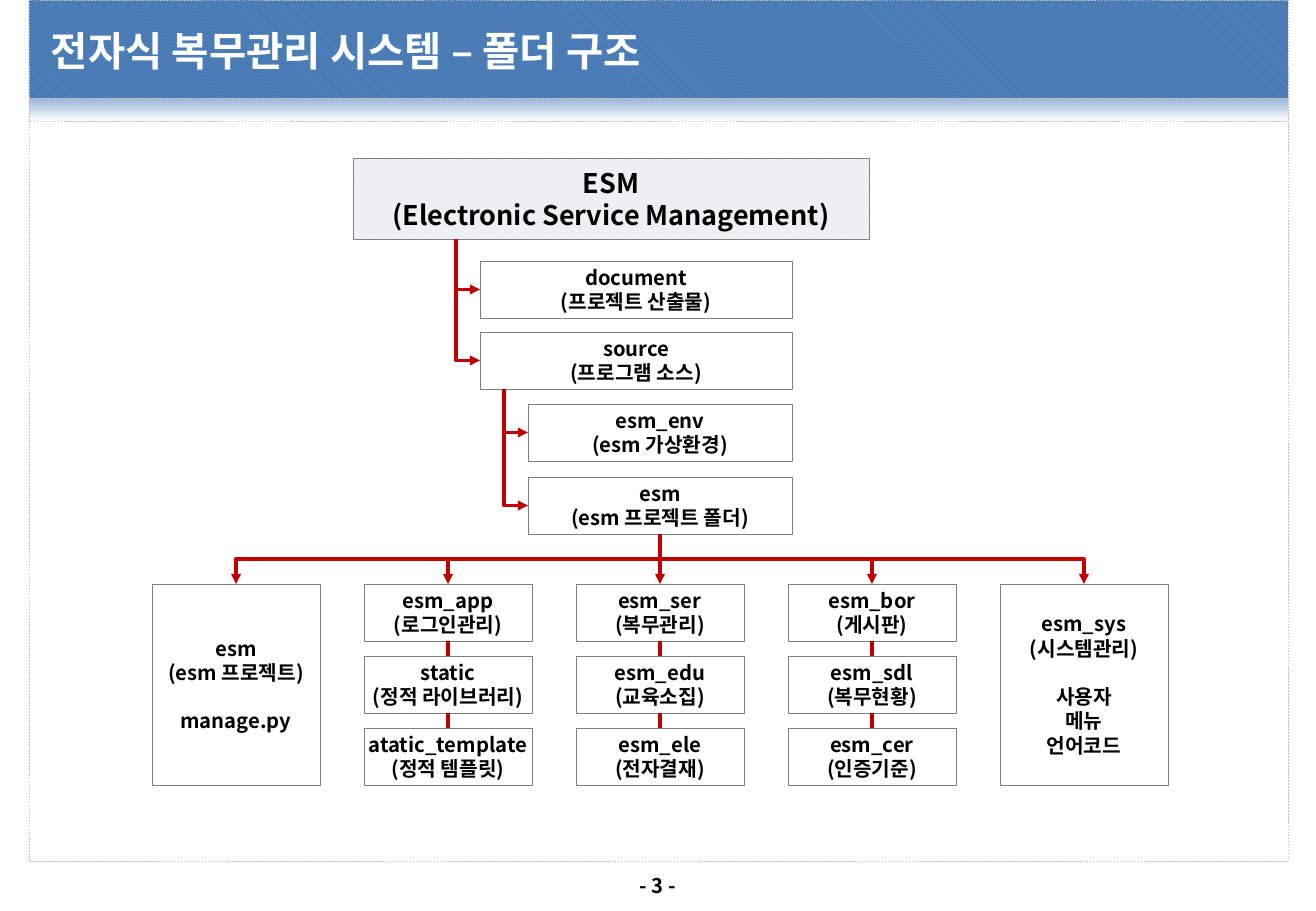
from lxml.etree import SubElement
from pptx import Presentation
from pptx.dml.color import RGBColor
from pptx.enum.dml import MSO_LINE, MSO_PATTERN
from pptx.enum.shapes import MSO_CONNECTOR, MSO_SHAPE
from pptx.enum.text import MSO_ANCHOR, PP_ALIGN
from pptx.oxml.ns import qn
from pptx.util import Pt

PX = 7526
FONT = "Noto Sans CJK KR"
WHITE = RGBColor(0xFF, 0xFF, 0xFF)
BLACK = RGBColor(0x00, 0x00, 0x00)
RED = RGBColor(0xC0, 0x00, 0x00)
BOX_EDGE = RGBColor(0x80, 0x80, 0x80)
FRAME_EDGE = RGBColor(0xBF, 0xBF, 0xBF)
BLUE = RGBColor(0x4F, 0x81, 0xBD)
DARK_BLUE = RGBColor(0x37, 0x60, 0x92)
SOFT_BLUE = RGBColor(0x95, 0xB3, 0xD7)
PALE_BLUE = RGBColor(0xDC, 0xE6, 0xF2)
PALE_GREY = RGBColor(0xF2, 0xF2, 0xF2)

ROW_HEIGHT = 57
ROW_STEP = 72
INDENT = 24
COLUMN_LEFT, COLUMN_TOP = 152, 584
COLUMN_STEP, COLUMN_WIDTH = 212, 168
COLUMN_HEIGHT = 2 * ROW_STEP + ROW_HEIGHT

COLUMNS = [
    [[["esm", "(esm 프로젝트)"], ["manage.py"]]],
    [[["esm_app", "(로그인관리)"]], [["static", "(정적 라이브러리)"]],
     [["atatic_template", "(정적 템플릿)"]]],
    [[["esm_ser", "(복무관리)"]], [["esm_edu", "(교육소집)"]],
     [["esm_ele", "(전자결재)"]]],
    [[["esm_bor", "(게시판)"]], [["esm_sdl", "(복무현황)"]],
     [["esm_cer", "(인증기준)"]]],
    [[["esm_sys", "(시스템관리)"], ["사용자", "메뉴", "언어코드"]]],
]


def emu(*lengths):
    return [round(length * PX) for length in lengths]


def write(shape, blocks, size=12, color=BLACK, align=PP_ALIGN.CENTER):
    frame = shape.text_frame
    frame.word_wrap = False
    frame.vertical_anchor = MSO_ANCHOR.MIDDLE
    frame.margin_left = frame.margin_right = 5 * PX
    frame.margin_top = frame.margin_bottom = 5 * PX
    frame.text = "\n".join(line for block in blocks for line in block)
    for para in frame.paragraphs:
        para.alignment = align
        font = para.font
        font.name, font.size, font.bold = FONT, Pt(size), True
        font.color.rgb = color
        properties = para._p.pPr.find(qn("a:defRPr"))
        SubElement(properties, qn("a:ea")).set("typeface", FONT)
    first = 0
    for block in blocks[:-1]:
        first += len(block)
        frame.paragraphs[first].space_before = Pt(14.3)


def add_rectangle(page, left, top, width, height, edge=BOX_EDGE):
    shape = page.shapes.add_shape(MSO_SHAPE.RECTANGLE, *emu(left, top, width, height))
    shape.shadow.inherit = False
    shape.fill.solid()
    shape.fill.fore_color.rgb = WHITE
    shape.line.color.rgb = edge
    shape.line.width = Pt(0.25)
    return shape


def add_box(page, left, top, width, height, blocks, size=12):
    box = add_rectangle(page, left, top, width, height)
    write(box, blocks, size)
    return box


def add_band(page, top, height):
    band = add_rectangle(page, 29, top, 1259, height, FRAME_EDGE)
    band.line.dash_style = MSO_LINE.DASH
    return band


def hatch(shape, front, back):
    shape.fill.patterned()
    shape.fill.pattern = MSO_PATTERN.LIGHT_DOWNWARD_DIAGONAL
    shape.fill.fore_color.rgb = front
    shape.fill.back_color.rgb = back


def add_text(page, left, top, width, height, line, **style):
    box = page.shapes.add_textbox(*emu(left, top, width, height))
    write(box, [[line]], **style)


def add_line(page, kind, start, end, arrow=False):
    line = page.shapes.add_connector(kind, *emu(*start, *end))
    line.line.color.rgb = RED
    line.line.width = Pt(2)
    if arrow:
        SubElement(line.line._get_or_add_ln(), qn("a:tailEnd")).set("type", "triangle")
    SubElement(line._element.spPr, qn("a:effectLst"))
    return line


def join(page, upper, lower, arrow=False):
    line = add_line(page, MSO_CONNECTOR.STRAIGHT, (0, 0), (1, 1), arrow)
    line.begin_connect(upper, 2)
    line.end_connect(lower, 0)


def add_elbow(page, start, end, preset):
    middle_x, middle_y = (start[0] + end[0]) / 2, (start[1] + end[1]) / 2
    half_width, half_height = abs(end[1] - start[1]) / 2, abs(end[0] - start[0]) / 2
    elbow = add_line(page, MSO_CONNECTOR.ELBOW,
                     (middle_x - half_width, middle_y - half_height),
                     (middle_x + half_width, middle_y + half_height), True)
    properties = elbow._element.spPr
    properties.find(qn("a:prstGeom")).set("prst", preset)
    frame = properties.find(qn("a:xfrm"))
    if end[0] > start[0]:
        frame.set("rot", "16200000")
        frame.set("flipH", "1")
    else:
        frame.set("rot", "5400000")


def add_frame(page):
    glow = add_band(page, 98, 23)
    glow.fill.gradient()
    glow.fill.gradient_angle = 270
    for stop, color in zip(glow.fill.gradient_stops, (SOFT_BLUE, WHITE)):
        stop.color.rgb = color
    add_band(page, 121, 740)
    hatch(add_band(page, 0, 98), DARK_BLUE, BLUE)
    add_text(page, 46, 10, 1226, 80, "전자식 복무관리 시스템 – 폴더 구조",
             size=24, color=WHITE, align=PP_ALIGN.LEFT)
    add_text(page, 617, 867, 82, 37, "- 3 -")


def add_branches(page, left, start, children):
    boxes = []
    for top, lines in children:
        boxes.append(add_box(page, left, top, 792 - left, ROW_HEIGHT, [lines]))
        add_elbow(page, (left - INDENT, start), (left, top + ROW_HEIGHT / 2),
                  "bentConnector2")
    return boxes


def add_columns(page, parent):
    for index, cells in enumerate(COLUMNS):
        left = COLUMN_LEFT + index * COLUMN_STEP
        height = COLUMN_HEIGHT if len(cells) == 1 else ROW_HEIGHT
        boxes = [add_box(page, left, COLUMN_TOP + row * ROW_STEP, COLUMN_WIDTH, height, blocks)
                 for row, blocks in enumerate(cells)]
        for upper, lower in zip(boxes, boxes[1:]):
            join(page, upper, lower)
        if index == len(COLUMNS) // 2:
            join(page, parent, boxes[0], True)
        else:
            add_elbow(page, (660, 534), (left + COLUMN_WIDTH / 2, COLUMN_TOP),
                      "bentConnector3")


def main():
    deck = Presentation()
    deck.slide_width, deck.slide_height = emu(1316, 911)
    page = deck.slides.add_slide(deck.slide_layouts[6])
    add_frame(page)
    root = add_box(page, 353, 158, 516, 81,
                   [["ESM", "(Electronic Service Management)"]], 16)
    hatch(root, PALE_BLUE, PALE_GREY)
    add_branches(page, 480, 239, [(261, ["document", "(프로젝트 산출물)"]),
                                  (332, ["source", "(프로그램 소스)"])])
    folders = add_branches(page, 528, 389, [(404, ["esm_env", "(esm 가상환경)"]),
                                            (477, ["esm", "(esm 프로젝트 폴더)"])])
    add_columns(page, folders[-1])
    deck.save("out.pptx")


if __name__ == "__main__":
    main()
